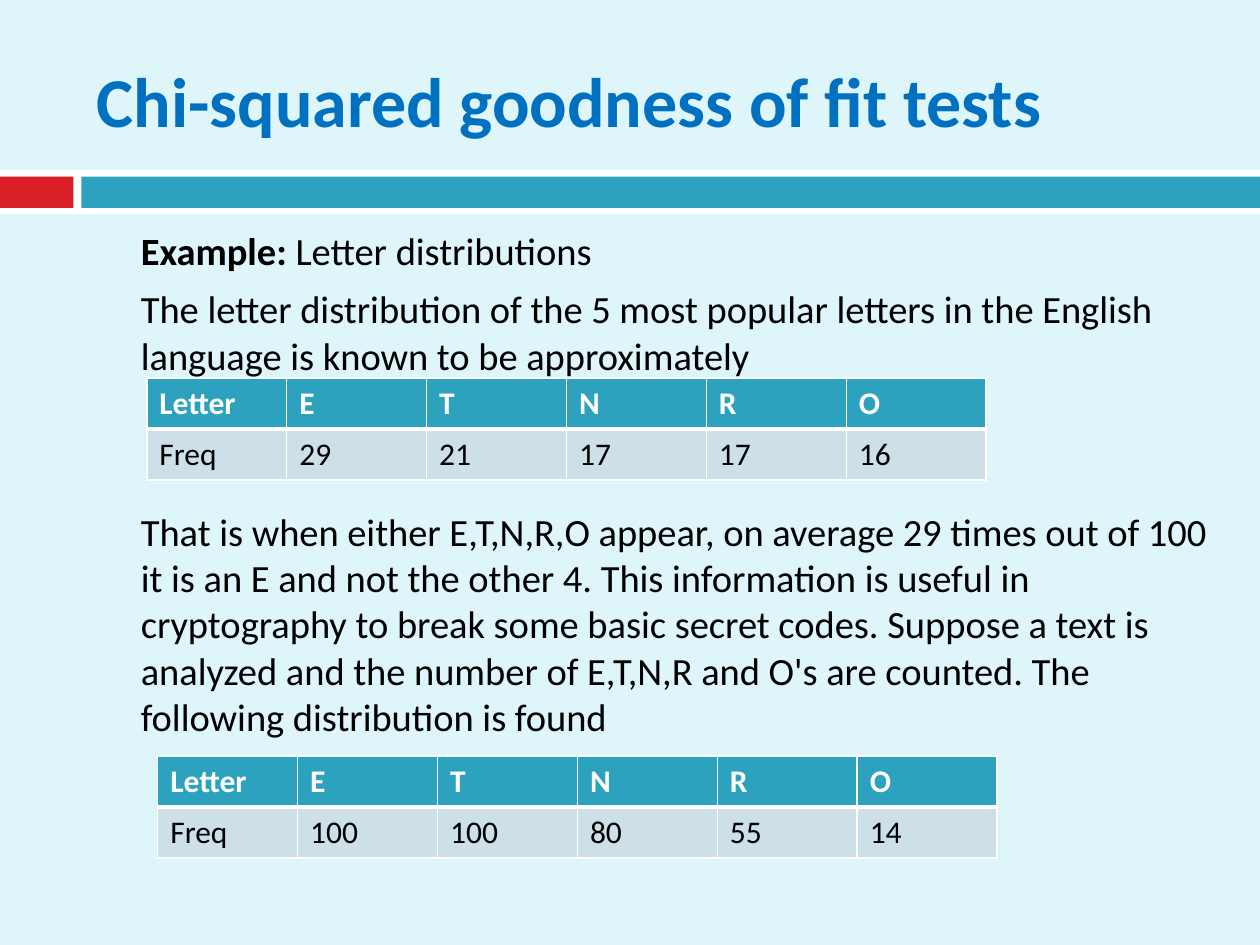
from lxml import etree
from pptx import Presentation
from pptx.dml.color import RGBColor
from pptx.enum.shapes import MSO_SHAPE
from pptx.enum.text import MSO_ANCHOR
from pptx.oxml.ns import qn
from pptx.util import Cm, Pt

RECT = MSO_SHAPE.RECTANGLE
MIDDLE = MSO_ANCHOR.MIDDLE
FONT = "Calibri"
WHITE, BLACK, TEAL, RED = "FFFFFF", "000000", "2DA2BF", "DA1F28"
BLUE, PALE, SKY = "0070C0", "CDE0E8", "DEF5FA"

INTRO = ("The letter distribution of the 5 most popular letters in the "
         "English language is known to be approximately")
STORY = ("That is when either E,T,N,R,O appear, on average 29 times out of "
         "100 it is an E and not the other 4. This information is useful in "
         "cryptography to break some basic secret codes. Suppose a text is "
         "analyzed and the number of E,T,N,R and O's are counted. The "
         "following distribution is found")
HEAD = ["Letter", "E", "T", "N", "R", "O"]
KNOWN = ["Freq", "29", "21", "17", "17", "16"]
FOUND = ["Freq", "100", "100", "80", "55", "14"]


def paint(fill, color):
    fill.solid()
    fill.fore_color.rgb = RGBColor.from_string(color)


def style(font, size, color, bold=None):
    font.name = FONT
    font.size = Pt(size)
    font.bold = bold
    font.color.rgb = RGBColor.from_string(color)


def add_bar(slide, left, top, width, height, color):
    bar = slide.shapes.add_shape(RECT, Cm(left), Cm(top), Cm(width), Cm(height))
    bar.shadow.inherit = False
    bar.line.fill.background()
    paint(bar.fill, color)


def add_box(slide, left, top, width, height):
    box = slide.shapes.add_textbox(Cm(left), Cm(top), Cm(width), Cm(height))
    frame = box.text_frame
    frame.word_wrap = True
    return frame


def add_title(slide, text):
    frame = add_box(slide, 1.7, 0.64, 22.66, 2.74)
    frame.vertical_anchor = MIDDLE
    para = frame.paragraphs[0]
    para.text = text
    style(para.font, 40, BLUE, True)


def add_body(slide):
    frame = add_box(slide, 2.59, 4.45, 22.17, 13.77)
    first = frame.paragraphs[0]
    label = first.add_run()
    label.text = "Example: "
    label.font.bold = True
    first.add_run().text = "Letter distributions"
    for text in (INTRO, STORY):
        frame.add_paragraph().text = text
    for para, gap in zip(frame.paragraphs, (7, 7, 74.5)):
        para.space_before = Pt(gap)
        style(para.font, 22, BLACK)


def add_edges(cell, widths):
    props = cell._tc.get_or_add_tcPr()
    for side, width in widths.items():
        line = etree.SubElement(props, qn("a:ln" + side), w=str(Pt(width)))
        solid = etree.SubElement(line, qn("a:solidFill"))
        etree.SubElement(solid, qn("a:srgbClr"), val=WHITE)


def add_grid(slide, left, top, rows):
    col, row = 2.82, 1.03
    frame = slide.shapes.add_table(len(rows), len(HEAD), Cm(left), Cm(top),
                                   Cm(col * len(HEAD)), Cm(row * len(rows)))
    table = frame.table
    for part in table.columns:
        part.width = Cm(col)
    for r, texts in enumerate(rows):
        table.rows[r].height = Cm(row)
        top_row = r == 0
        edges = {"L": 1, "R": 1, "T": 1 if top_row else 3,
                 "B": 3 if top_row else 1}
        for c, text in enumerate(texts):
            cell = table.cell(r, c)
            add_edges(cell, edges)
            paint(cell.fill, TEAL if top_row else PALE)
            para = cell.text_frame.paragraphs[0]
            para.text = text
            style(para.font, 18, WHITE if top_row else BLACK, top_row)


def main():
    deck = Presentation()
    deck.slide_width, deck.slide_height = Cm(25.4), Cm(19.05)
    slide = deck.slides.add_slide(deck.slide_layouts[6])
    paint(slide.background.fill, SKY)
    add_bar(slide, 0, 3.43, 25.4, 0.89, WHITE)
    add_bar(slide, 0, 3.56, 1.48, 0.63, RED)
    add_bar(slide, 1.64, 3.56, 23.76, 0.63, TEAL)
    add_title(slide, "Chi-squared goodness of fit tests")
    add_body(slide)
    add_grid(slide, 2.96, 7.62, [HEAD, KNOWN])
    add_grid(slide, 3.18, 15.24, [HEAD, FOUND])
    deck.save("out.pptx")


if __name__ == "__main__":
    main()
